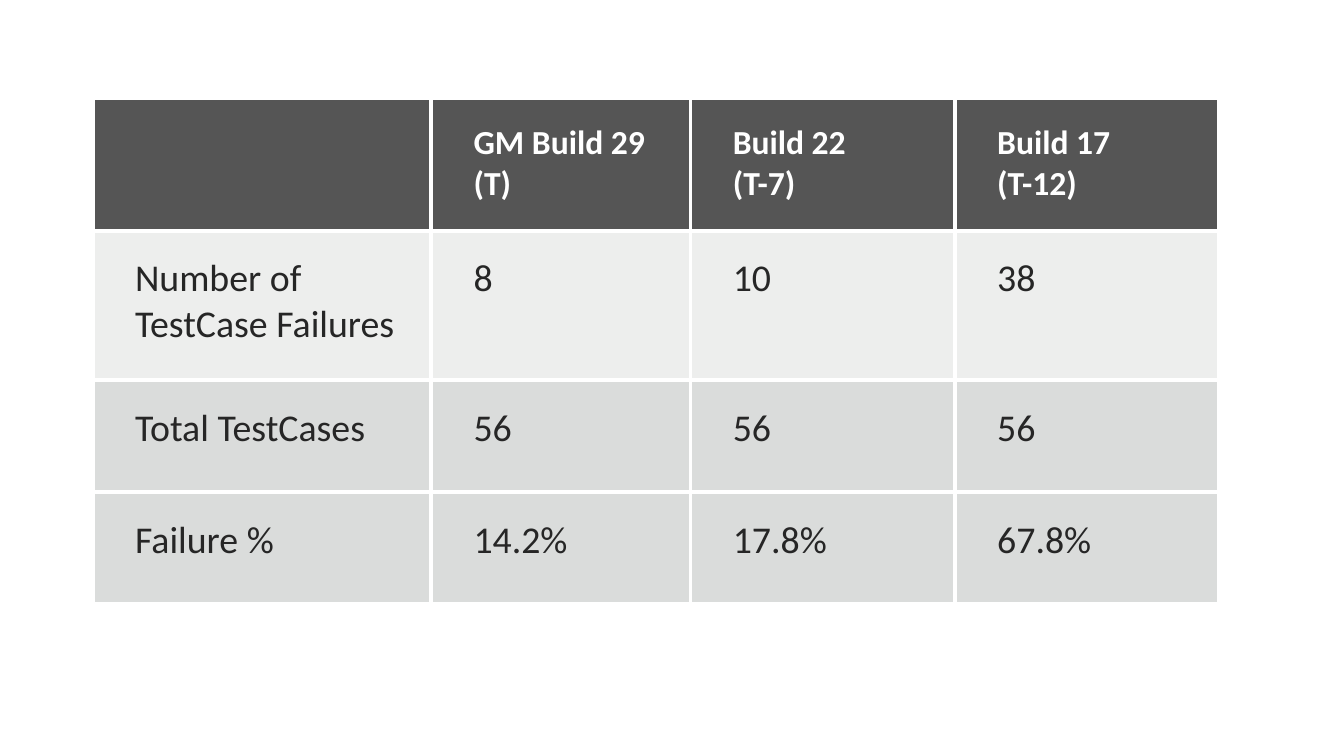
from lxml.etree import SubElement
from pptx import Presentation
from pptx.dml.color import RGBColor
from pptx.oxml.ns import qn
from pptx.util import Pt

# Content
ROWS = [
    ("", "GM Build 29\n(T)", "Build 22\n(T-7)", "Build 17\n(T-12)"),
    ("Number of TestCase Failures", "8", "10", "38"),
    ("Total TestCases", "56", "56", "56"),
    ("Failure %", "14.2%", "17.8%", "67.8%"),
]

# Theme: fills are (colour, opacity in percent), one per row
HEADER = {"size": Pt(24), "bold": True}
BODY = {"size": Pt(27), "bold": False}
THEME = {
    "font": "Calibri",
    "header_text": "FFFFFF",
    "body_text": "262626",
    "border": "FFFFFF",
    "border_width": Pt(3),
    "fills": [("0D0D0D", 70), ("878E8B", 15), ("878E8B", 30), ("878E8B", 30)],
}

# Layout in points
LEFT, TOP = 66.24, 69.84
COL_WIDTHS = [241.8, 185.2, 188.9, 188.9]
ROW_HEIGHTS = [95, 106.8, 79.9, 79.9]
MARGINS = {"margin_left": Pt(30.24), "margin_top": Pt(18),
           "margin_right": Pt(18), "margin_bottom": Pt(18)}


def set_attrs(obj, values):
    for name, value in values.items():
        setattr(obj, name, value)


def add_borders(cell):
    tcPr = cell._tc.get_or_add_tcPr()
    for side in ("lnL", "lnR", "lnT", "lnB"):
        ln = SubElement(tcPr, qn(f"a:{side}"), w=str(THEME["border_width"]))
        fill = SubElement(ln, qn("a:solidFill"))
        SubElement(fill, qn("a:srgbClr"), val=THEME["border"])


def fill_cell(cell, color, opacity):
    cell.fill.solid()
    cell.fill.fore_color.rgb = RGBColor.from_string(color)
    clr = cell._tc.tcPr.find(qn("a:solidFill")).find(qn("a:srgbClr"))
    SubElement(clr, qn("a:alpha"), val=str(opacity * 1000))


def write_cell(cell, text, style, color):
    set_attrs(cell, MARGINS)
    cell.text = text
    for p in cell.text_frame.paragraphs:
        for r in p.runs:
            set_attrs(r.font, {"name": THEME["font"], **style})
            r.font.color.rgb = RGBColor.from_string(color)


def main():
    prs = Presentation()
    set_attrs(prs, {"slide_width": Pt(960), "slide_height": Pt(540)})
    slide = prs.slides.add_slide(prs.slide_layouts[6])

    # Table frame
    table = slide.shapes.add_table(
        len(ROWS), len(COL_WIDTHS), Pt(LEFT), Pt(TOP),
        Pt(sum(COL_WIDTHS)), Pt(sum(ROW_HEIGHTS))).table
    set_attrs(table, {"horz_banding": False})
    for column, width in zip(table.columns, COL_WIDTHS):
        column.width = Pt(width)
    for row, height in zip(table.rows, ROW_HEIGHTS):
        row.height = Pt(height)

    # Cells
    for i, (texts, fill) in enumerate(zip(ROWS, THEME["fills"])):
        style = BODY if i else HEADER
        color = THEME["body_text" if i else "header_text"]
        for j, text in enumerate(texts):
            cell = table.cell(i, j)
            add_borders(cell)
            fill_cell(cell, *fill)
            write_cell(cell, text, style, color)

    prs.save("out.pptx")


if __name__ == "__main__":
    main()
